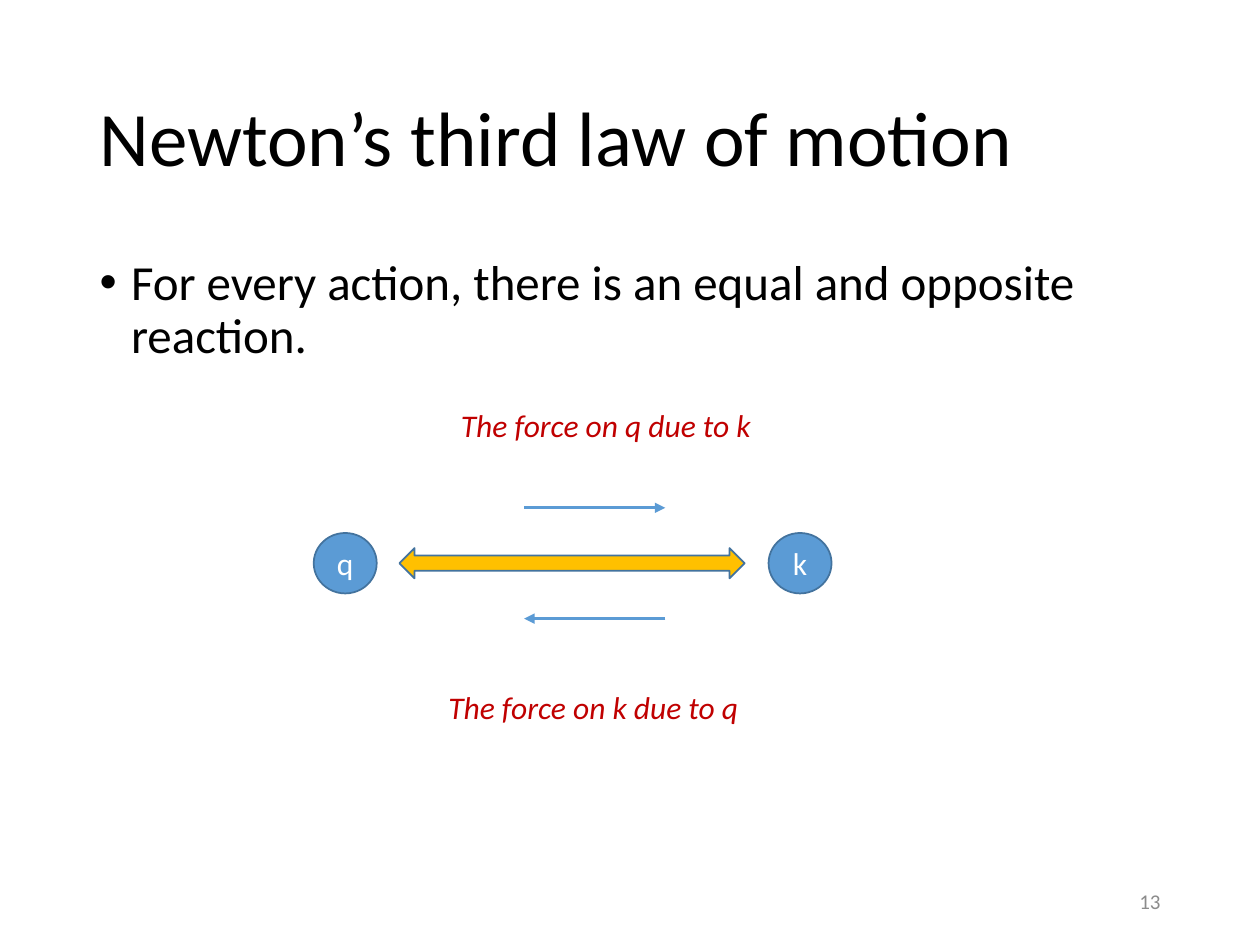
from dataclasses import dataclass

from lxml import etree
from pptx import Presentation
from pptx.dml.color import RGBColor
from pptx.enum.shapes import MSO_CONNECTOR, MSO_SHAPE
from pptx.enum.text import MSO_ANCHOR, MSO_AUTO_SIZE, PP_ALIGN
from pptx.oxml.ns import qn
from pptx.util import Inches, Pt

LEFT, CENTER, RIGHT = PP_ALIGN.LEFT, PP_ALIGN.CENTER, PP_ALIGN.RIGHT
TOP, MIDDLE = MSO_ANCHOR.TOP, MSO_ANCHOR.MIDDLE
CIRCLE = MSO_SHAPE.FLOWCHART_CONNECTOR
DOUBLE_ARROW = MSO_SHAPE.LEFT_RIGHT_ARROW
STRAIGHT = MSO_CONNECTOR.STRAIGHT
TITLE_AND_CONTENT = 1


@dataclass(frozen=True)
class Theme:
    font: str = "Calibri"
    black: str = "000000"
    white: str = "FFFFFF"
    gray: str = "8C8C8C"
    blue: str = "5B9BD5"
    outline: str = "43739E"
    gold: str = "FFC000"
    red: str = "C00000"
    title_size: int = 44
    body_size: int = 28
    label_size: int = 18
    number_size: int = 12


THEME = Theme()


def color(value):
    return RGBColor.from_string(value)


def place(shape, left, top, width, height):
    shape.left, shape.top = Inches(left), Inches(top)
    shape.width, shape.height = Inches(width), Inches(height)


def write(shape, text, *, size, fill, align=LEFT, anchor=TOP, italic=False,
          spacing=None, bullet=False):
    """Write one formatted paragraph into a shape."""
    frame = shape.text_frame
    frame.word_wrap = True
    frame.auto_size = MSO_AUTO_SIZE.NONE
    frame.vertical_anchor = anchor
    paragraph = frame.paragraphs[0]
    paragraph.text = text
    paragraph.alignment = align
    paragraph.space_before = Pt(0)
    if spacing:
        paragraph.line_spacing = spacing
    if bullet:
        add_bullet(paragraph)
    font = paragraph.font
    font.name, font.size, font.italic = THEME.font, Pt(size), italic
    font.color.rgb = color(fill)


def add_bullet(paragraph, indent=0.25):
    properties = paragraph._p.get_or_add_pPr()
    properties.set("marL", str(Inches(indent)))
    properties.set("indent", str(-Inches(indent)))
    etree.SubElement(properties, qn("a:buFont"), typeface="Arial")
    etree.SubElement(properties, qn("a:buChar"), char="•")


def add_text(slide, text, box, **text_format):
    shape = slide.shapes.add_textbox(*map(Inches, box))
    write(shape, text, **text_format)


def add_figure(slide, kind, box, fill):
    shape = slide.shapes.add_shape(kind, *map(Inches, box))
    shape.shadow.inherit = False
    shape.fill.solid()
    shape.fill.fore_color.rgb = color(fill)
    shape.line.color.rgb = color(THEME.outline)
    shape.line.width = Pt(1)
    return shape


def add_body(slide, name, left):
    circle = add_figure(slide, CIRCLE, (left, 4.23, 0.5, 0.48), THEME.blue)
    write(circle, name, size=THEME.label_size, fill=THEME.white,
          align=CENTER, anchor=MIDDLE)


def add_force_arrow(slide, start, end, y):
    connector = slide.shapes.add_connector(
        STRAIGHT, Inches(start), Inches(y), Inches(end), Inches(y))
    connector.line.color.rgb = color(THEME.blue)
    connector.line.width = Pt(1.5)
    etree.SubElement(connector.line._get_or_add_ln(), qn("a:tailEnd"), type="triangle")
    etree.SubElement(connector._element.spPr, qn("a:effectLst"))


def main():
    presentation = Presentation()
    presentation.slide_width, presentation.slide_height = Inches(10), Inches(7.5)
    slide = presentation.slides.add_slide(
        presentation.slide_layouts[TITLE_AND_CONTENT])

    # Title and statement of the law
    title, body = slide.placeholders
    place(title, 0.69, 0.4, 8.62, 1.45)
    write(title, "Newton’s third law of motion", size=THEME.title_size,
          fill=THEME.black, anchor=MIDDLE, spacing=0.9)
    place(body, 0.69, 2, 8.62, 4.76)
    write(body, "For every action, there is an equal and opposite reaction.",
          size=THEME.body_size, fill=THEME.black, spacing=0.9, bullet=True)

    # Slide number
    add_text(slide, "13", (7.06, 6.95, 2.25, 0.4), size=THEME.number_size,
             fill=THEME.gray, align=RIGHT, anchor=MIDDLE)

    # Two bodies and the interaction between them
    for name, left in (("q", 2.49), ("k", 6.1)):
        add_body(slide, name, left)
    add_figure(slide, DOUBLE_ARROW, (3.17, 4.35, 2.74, 0.24), THEME.gold)

    # Opposite forces
    for start, end, y in ((4.16, 5.28, 4.03), (5.28, 4.16, 4.91)):
        add_force_arrow(slide, start, end, y)

    # Force labels
    for text, left, top in (("The force on q due to k", 3.56, 3.17),
                            ("The force on k due to q", 3.46, 5.41)):
        add_text(slide, text, (left, top, 3.04, 0.4), size=THEME.label_size,
                 fill=THEME.red, italic=True)

    presentation.save("out.pptx")


if __name__ == "__main__":
    main()
